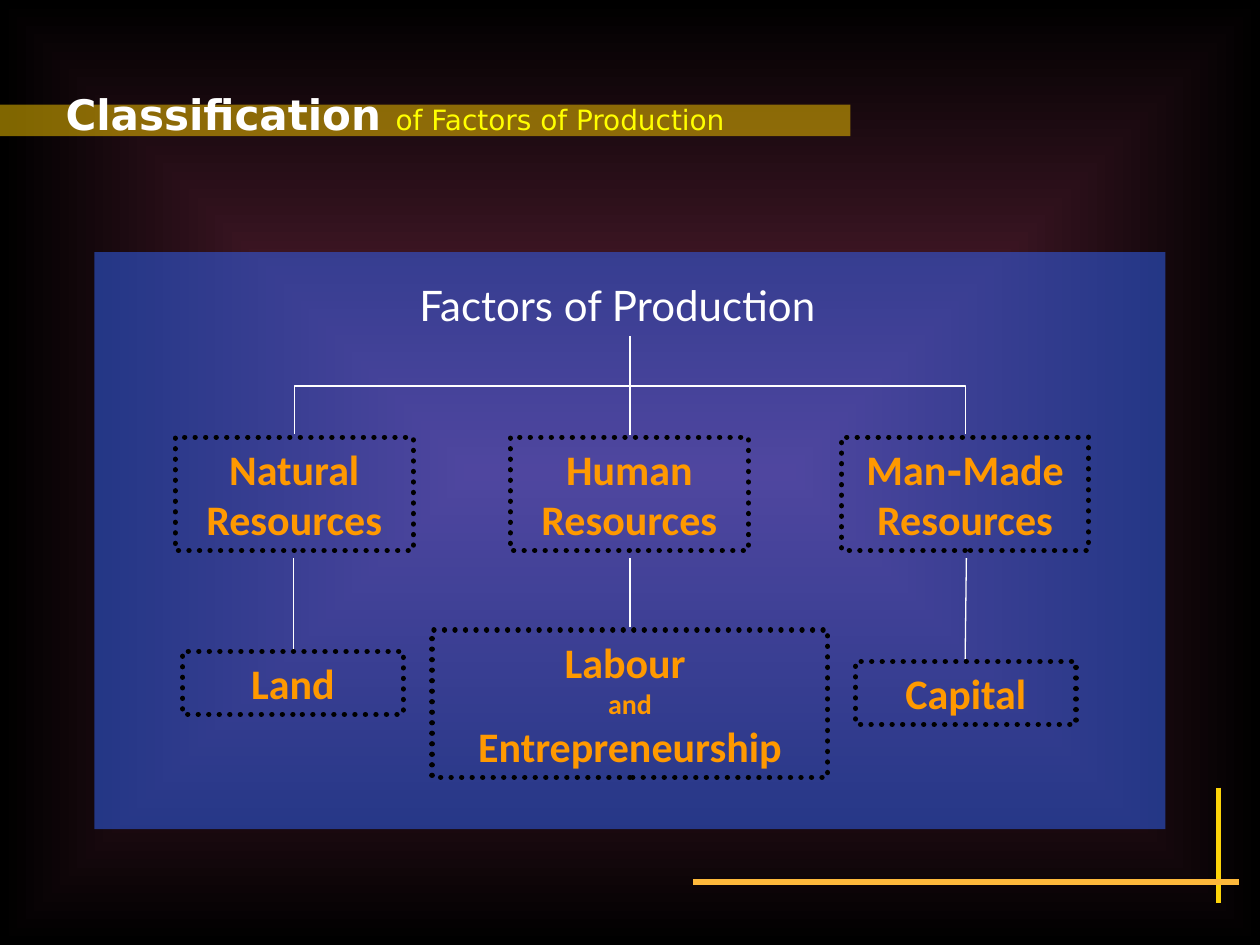
"""Build a slide that classifies the factors of production as a tree."""
import pptx
import pptx.dml.color
import pptx.enum.dml
import pptx.enum.shapes
import pptx.enum.text
import pptx.oxml
import pptx.oxml.ns
import pptx.util

Inches, Pt = pptx.util.Inches, pptx.util.Pt
RGB = pptx.dml.color.RGBColor.from_string
SHAPE = pptx.enum.shapes.MSO_SHAPE
CONN = pptx.enum.shapes.MSO_CONNECTOR
ALIGN = pptx.enum.text.PP_ALIGN
qn = pptx.oxml.ns.qn
NS = pptx.oxml.ns.nsdecls("a")
COLORS = {
    "glow": "6D2740", "black": "000000", "panel": "3366FF", "bar": "FFCC00",
    "white": "FFFFFF", "yellow": "FFFF00", "orange": "FF9900",
    "vertical": "FDD409", "horizontal": "FDB83B",
}


def set_font(font, name, size, color, bold=False):
    font.name, font.size, font.bold = name, Pt(size), bold
    font.color.rgb = RGB(COLORS[color])


def add_line(kind, x1, y1, x2, y2, color="white", width=0.75):
    c = s.shapes.add_connector(kind, Inches(x1), Inches(y1), Inches(x2), Inches(y2))
    c.line.color.rgb = RGB(COLORS[color])
    c.line.width = Pt(width)
    c.element.spPr.append(pptx.oxml.parse_xml(f"<a:effectLst {NS}/>"))
    return c


prs = pptx.Presentation()
prs.slide_width, prs.slide_height = Inches(10), Inches(7.5)
s = prs.slides.add_slide(prs.slide_layouts[5])

fill = s.background.fill
fill.gradient()
for stop, position, color in zip(fill.gradient_stops, (0, 1), ("glow", "black")):
    stop.position = position
    stop.color.rgb = RGB(COLORS[color])
grad = s.element.find(".//" + qn("a:gradFill"))
grad.replace(grad.find(qn("a:lin")), pptx.oxml.parse_xml(
    f'<a:path {NS} path="rect">'
    '<a:fillToRect l="50000" t="50000" r="50000" b="50000"/></a:path>'))

for color, x, y, w, h in (("panel", 0.75, 2, 8.5, 4.58), ("bar", -0.01, 0.83, 6.76, 0.25)):
    sp = s.shapes.add_shape(SHAPE.RECTANGLE, Inches(x), Inches(y), Inches(w), Inches(h))
    sp.shadow.inherit = False
    sp.line.fill.background()
    sp.fill.solid()
    sp.fill.fore_color.rgb = RGB(COLORS[color])
    rgb = sp.element.spPr.find(".//" + qn("a:srgbClr"))
    rgb.append(pptx.oxml.parse_xml(f'<a:alpha {NS} val="50000"/>'))

title = s.shapes.title
sp.element.addnext(title.element)
title.left, title.top, title.width, title.height = map(Inches, (0.42, 0.65, 6.33, 0.5))
tf = title.text_frame
tf.word_wrap = True
tf.auto_size = pptx.enum.text.MSO_AUTO_SIZE.NONE
tf.vertical_anchor = pptx.enum.text.MSO_ANCHOR.TOP
p = tf.paragraphs[0]
p.alignment = ALIGN.LEFT
for text, size, color, bold in (("Classification ", 24, "white", True),
                                ("of Factors of Production", 16, "yellow", False)):
    r = p.add_run()
    r.text = text
    set_font(r.font, "DejaVu Sans", size, color, bold)

tf = s.shapes.add_textbox(Inches(3.23), Inches(2.17), Inches(3.55), Inches(0.5)).text_frame
tf.word_wrap = False
p = tf.paragraphs[0]
p.text = "Factors of Production"
set_font(p.font, "Lato", 24, "white")

boxes = [
    (1.39, 3.47, 1.89, 0.9, [["Natural"], ["Resources"]]),
    (4.05, 3.47, 1.89, 0.9, [["Human"], ["Resources"]]),
    (6.68, 3.47, 1.96, 0.9, [["Man", "-", "Made"], ["Resources"]]),
    (1.45, 5.17, 1.75, 0.5, [["Land"]]),
    (3.43, 5, 3.14, 1.17, [["Labour "], ["and"], ["Entrepreneurship"]]),
    (6.79, 5.25, 1.75, 0.5, [["Capital"]]),
]
for x, y, w, h, lines in boxes:
    sp = s.shapes.add_shape(SHAPE.RECTANGLE, Inches(x), Inches(y), Inches(w), Inches(h))
    sp.shadow.inherit = False
    sp.fill.background()
    sp.line.color.rgb = RGB(COLORS["black"])
    sp.line.width = Pt(3)
    sp.line.dash_style = pptx.enum.dml.MSO_LINE.ROUND_DOT
    sp.element.spPr.find(qn("a:ln")).set("cap", "rnd")
    tf = sp.text_frame
    tf.word_wrap = False
    tf.vertical_anchor = pptx.enum.text.MSO_ANCHOR.TOP
    for i, runs in enumerate(lines):
        p = tf.paragraphs[0] if i == 0 else tf.add_paragraph()
        p.alignment = ALIGN.CENTER
        set_font(p.font, "Calibri", 16 if runs == ["and"] else 24, "orange", True)
        for text in runs:
            r = p.add_run()
            r.text = text
            if text == "-":
                r.font.name = "Montserrat"

for x1, x2, angle in ((3.28, 4.06, 90), (6.72, 5.94, 270)):
    c = add_line(CONN.ELBOW, x1, 1.72, x2, 4.39)
    c.element.spPr.find(qn("a:xfrm")).set("rot", str(angle * 60000))
    c.element.spPr.find(qn("a:prstGeom")).find(qn("a:avLst")).append(
        pptx.oxml.parse_xml(f'<a:gd {NS} name="adj1" fmla="val 51200"/>'))

for x1, y1, x2, y2 in ((5, 2.67, 5, 3.45), (2.33, 4.43, 2.33, 5.15),
                       (5, 4.43, 5, 4.98), (7.67, 4.43, 7.66, 5.23)):
    add_line(CONN.STRAIGHT, x1, y1, x2, y2)
add_line(CONN.STRAIGHT, 9.67, 6.25, 9.67, 7.17, "vertical", 3)
add_line(CONN.STRAIGHT, 9.83, 7, 5.5, 7, "horizontal", 3)

prs.save("out.pptx")
